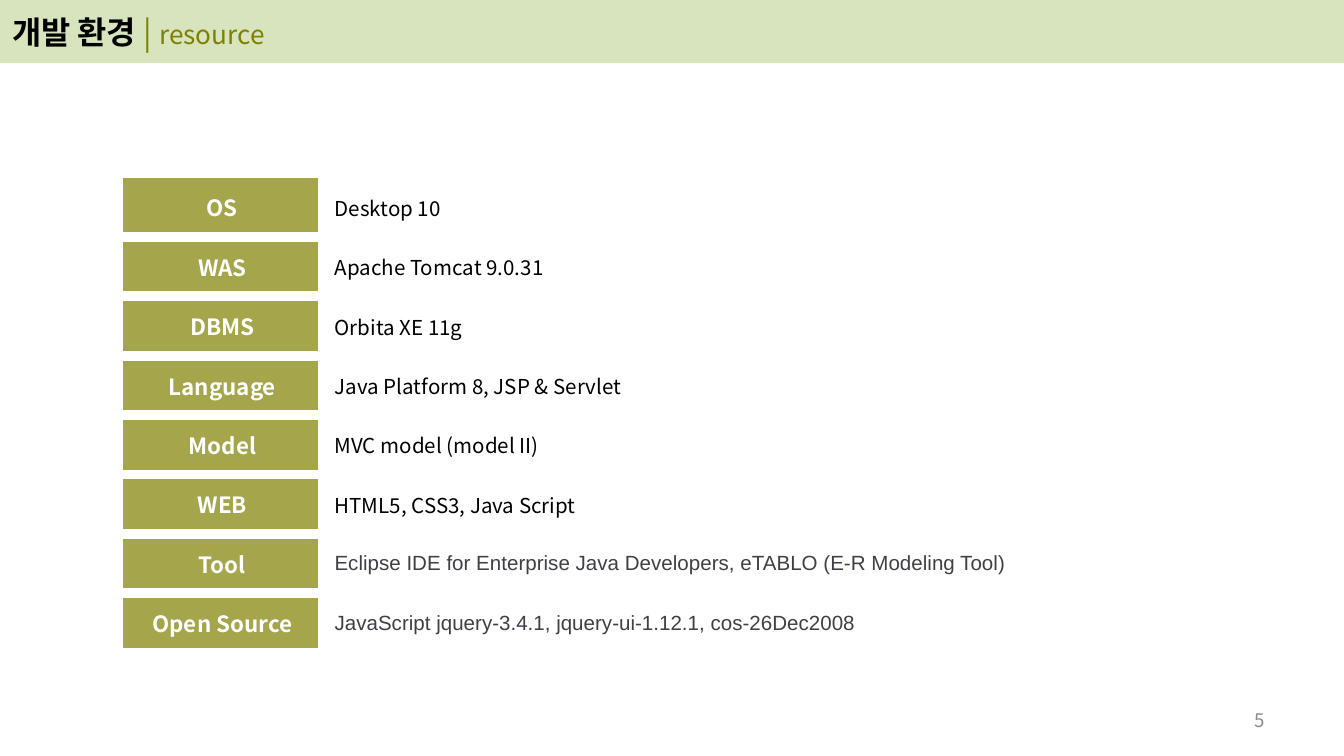
from typing import NamedTuple

from lxml import etree
from pptx import Presentation
from pptx import util as u
from pptx.dml.color import RGBColor
from pptx.enum import shapes, text
from pptx.oxml import ns

KOREAN_FONT = "Noto Sans CJK KR"
OLIVE, WHITE, BLACK, SLATE = "808000", "FFFFFF", "000000", "3F3F48"
THIN, THICK = 1, 6


class Style(NamedTuple):
    size: float
    color: str
    bold: bool = False
    font: str = KOREAN_FONT


class Resource(NamedTuple):
    label: str
    detail: str
    style: Style


class Borders(NamedTuple):
    left: float
    right: float
    top: float
    bottom: float


LABEL = Style(12, WHITE, bold=True)
DETAIL = Style(11, BLACK)
TOOL_DETAIL = Style(11, SLATE, font="Arial")

RESOURCES = [
    Resource("OS", "Desktop 10", DETAIL),
    Resource("WAS", "Apache Tomcat 9.0.31", DETAIL),
    Resource("DBMS", "Orbita XE 11g", DETAIL),
    Resource("Language", "Java Platform 8, JSP & Servlet", DETAIL),
    Resource("Model", "MVC model (model II)", DETAIL),
    Resource("WEB", "HTML5, CSS3, Java Script", DETAIL),
    Resource("Tool", "Eclipse IDE for Enterprise Java Developers, "
             "eTABLO (E-R Modeling Tool)", TOOL_DETAIL),
    Resource("Open Source", "JavaScript jquery-3.4.1, jquery-ui-1.12.1, "
             "cos-26Dec2008", TOOL_DETAIL),
]
TITLE = [
    ("개발 환경 ", Style(17, BLACK, bold=True)),
    ("| ", Style(17, OLIVE)),
    ("resource", Style(14, OLIVE)),
]


def paint(color_format, color: str) -> None:
    color_format.rgb = RGBColor.from_string(color)


def format_run(run, style: Style) -> None:
    run.font.size = u.Pt(style.size)
    run.font.bold = style.bold
    run.font.name = style.font
    paint(run.font.color, style.color)
    east_asian = etree.SubElement(run._r.get_or_add_rPr(), ns.qn("a:ea"))
    east_asian.set("typeface", style.font)


def set_margins(frame) -> None:
    frame.margin_left = frame.margin_right = u.Inches(0.09)
    frame.margin_top = frame.margin_bottom = u.Inches(0.04)
    frame.vertical_anchor = text.MSO_ANCHOR.MIDDLE


def set_borders(cell, borders: Borders) -> None:
    properties = cell._tc.get_or_add_tcPr()
    for position, (tag, width) in enumerate(zip("LRTB", borders)):
        line = etree.Element(ns.qn(f"a:ln{tag}"), w=str(u.Pt(width)))
        fill = etree.SubElement(line, ns.qn("a:solidFill"))
        etree.SubElement(fill, ns.qn("a:srgbClr"), val=WHITE)
        properties.insert(position, line)


def fill_cell(cell, content: str, style: Style, alignment, borders: Borders) -> None:
    set_margins(cell)
    cell.text_frame.text = content
    paragraph = cell.text_frame.paragraphs[0]
    paragraph.alignment = alignment
    format_run(paragraph.runs[0], style)
    set_borders(cell, borders)


def draw_header(slide) -> None:
    header = slide.shapes.add_shape(
        shapes.MSO_SHAPE.RECTANGLE, 0, 0, u.Inches(10), u.Inches(0.47))
    header.shadow.inherit = False
    header.fill.solid()
    paint(header.fill.fore_color, "D7E4BD")
    header.line.fill.background()
    set_margins(header.text_frame)
    paragraph = header.text_frame.paragraphs[0]
    paragraph.alignment = text.PP_ALIGN.LEFT
    for content, style in TITLE:
        run = paragraph.add_run()
        run.text = content
        format_run(run, style)


def draw_resource_table(slide) -> None:
    table = slide.shapes.add_table(
        len(RESOURCES), 2, u.Inches(0.91), u.Inches(1.32),
        u.Inches(8.49), u.Inches(3.54)).table
    table.first_row = table.horz_banding = False
    table.columns[0].width = u.Inches(1.49)
    table.columns[1].width = u.Inches(7)
    for index, resource in enumerate(RESOURCES):
        top = THICK if index else THIN
        label, detail = table.cell(index, 0), table.cell(index, 1)

        # Label cell, translucent olive
        label.fill.solid()
        paint(label.fill.fore_color, OLIVE)
        color = label._tc.tcPr.find(".//" + ns.qn("a:srgbClr"))
        etree.SubElement(color, ns.qn("a:alpha"), val="70000")
        fill_cell(label, resource.label, LABEL, text.PP_ALIGN.CENTER,
                  Borders(THIN, THICK, top, THICK))

        # Detail cell, no fill
        detail.fill.background()
        fill_cell(detail, resource.detail, resource.style, text.PP_ALIGN.LEFT,
                  Borders(THICK, THIN, top, THICK))


def draw_page_number(slide) -> None:
    box = slide.shapes.add_textbox(
        u.Inches(7.17), u.Inches(5.21), u.Inches(2.33), u.Inches(0.3))
    box.text_frame.word_wrap = True
    set_margins(box.text_frame)
    box.text_frame.text = "5"
    paragraph = box.text_frame.paragraphs[0]
    paragraph.alignment = text.PP_ALIGN.RIGHT
    format_run(paragraph.runs[0], Style(10, "8C8C8C"))


def main() -> None:
    presentation = Presentation()
    # Widescreen, 16:9
    presentation.slide_width = u.Inches(10)
    presentation.slide_height = u.Inches(10) * 9 // 16
    slide = presentation.slides.add_slide(presentation.slide_layouts[6])
    draw_header(slide)
    draw_page_number(slide)
    draw_resource_table(slide)
    presentation.save("out.pptx")


if __name__ == "__main__":
    main()
